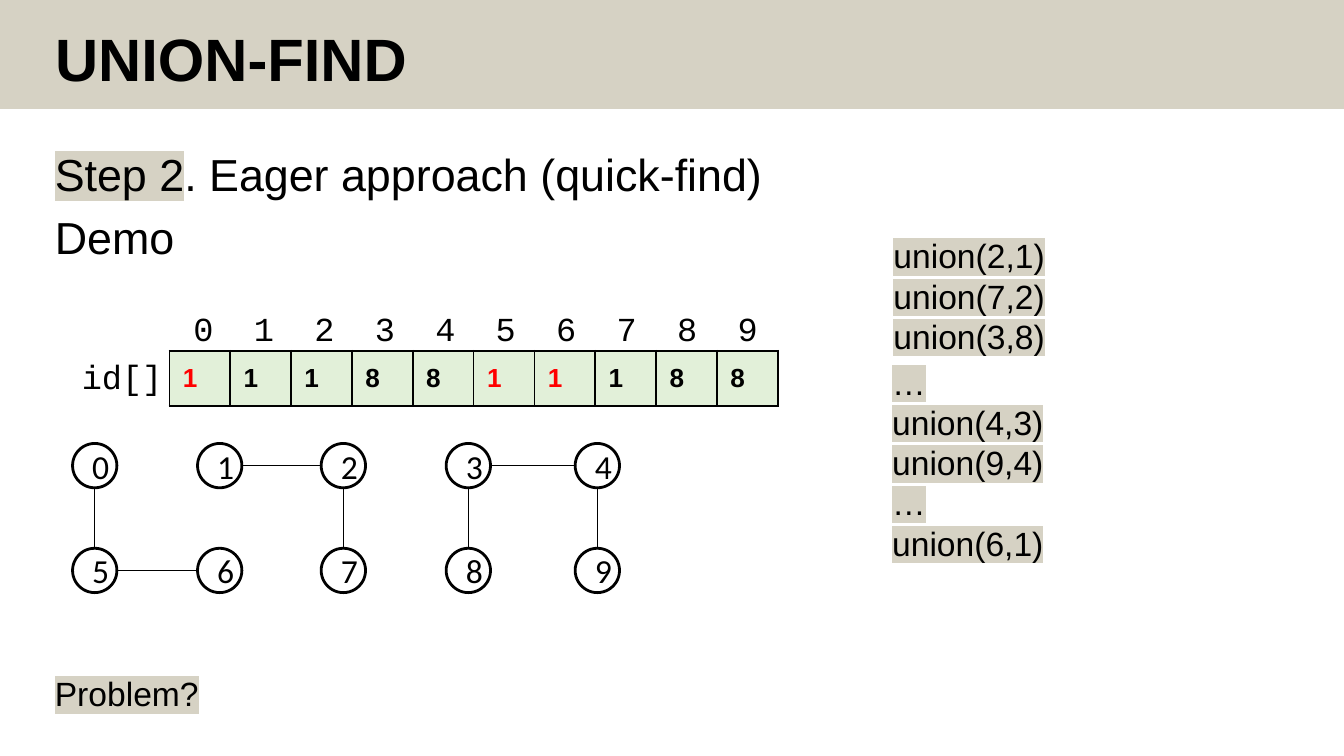
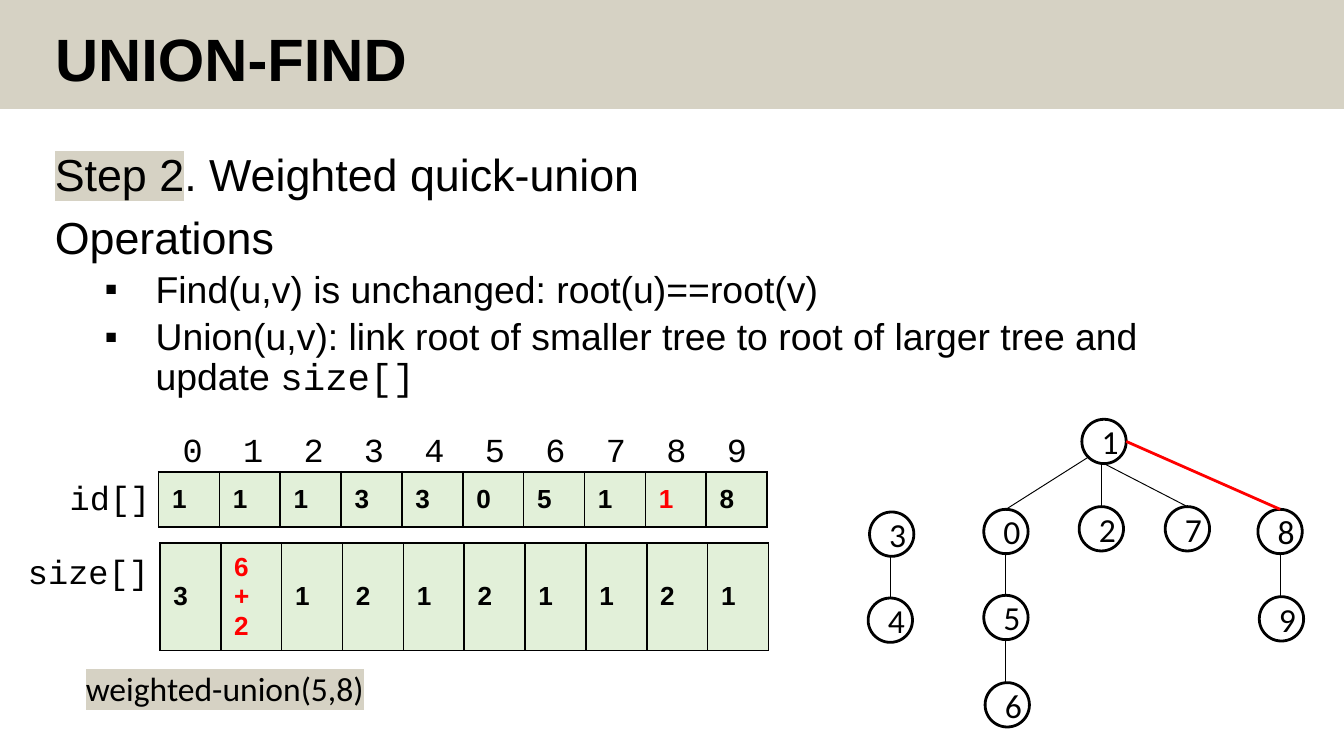
import dataclasses

import lxml.etree
import pptx
import pptx.dml.color
import pptx.enum.shapes
import pptx.enum.text
import pptx.oxml.ns
import pptx.util

Inches = pptx.util.Inches
Pt = pptx.util.Pt
qn = pptx.oxml.ns.qn
Anchor = pptx.enum.text.MSO_ANCHOR
Align = pptx.enum.text.PP_ALIGN
AutoSize = pptx.enum.text.MSO_AUTO_SIZE


@dataclasses.dataclass(frozen=True)
class Theme:
    band: str = "D6D2C4"
    ink: str = "000000"
    changed: str = "FF0000"
    cell: str = "E2F0D9"
    sans: str = "Arial"
    code: str = "Courier New"
    node: str = "Calibri"
    title_size: float = 32
    body_size: float = 24
    bullet_size: float = 20
    label_size: float = 18
    cell_size: float = 14


THEME = Theme()
NODE_SIZE = 0.33
TABLE_WIDTH = 4.53
COUNT = 10

# Points on a node's outline, as fractions of its size
SIDES = {
    "top": (0.5, 0),
    "bottom": (0.5, 1),
    "left": (0, 0.5),
    "right": (1, 0.5),
    "lower left": (0.15, 0.85),
}


def rgb(value):
    return pptx.dml.color.RGBColor.from_string(value)


def add_solid_fill(parent, tag, color):
    holder = lxml.etree.SubElement(parent, qn(tag))
    lxml.etree.SubElement(holder, qn("a:srgbClr"), val=color)
    return holder


class Deck:
    def __init__(self, theme):
        self.theme = theme
        self.presentation = pptx.Presentation()
        self.presentation.slide_width = Inches(10)
        self.presentation.slide_height = Inches(10) * 9 // 16
        self.slide = None

    def add_slide(self, title):
        layout = self.presentation.slide_layouts[5]
        self.slide = self.presentation.slides.add_slide(layout)
        self.band()
        shape = self.slide.shapes.title
        shape.left, shape.top = Inches(0.31), Inches(0.17)
        shape.width, shape.height = Inches(8.62), Inches(0.64)
        frame = shape.text_frame
        frame.auto_size = AutoSize.NONE
        frame.vertical_anchor = Anchor.TOP
        paragraph = frame.paragraphs[0]
        paragraph.alignment = Align.LEFT
        paragraph.line_spacing = 0.9
        self.run(paragraph, title, self.theme.title_size, bold=True)

    def band(self):
        shape = self.slide.shapes.add_shape(
            pptx.enum.shapes.MSO_SHAPE.RECTANGLE, 0, 0, Inches(10), Inches(0.81))
        shape.shadow.inherit = False
        shape.fill.solid()
        shape.fill.fore_color.rgb = rgb(self.theme.band)
        shape.line.fill.background()
        # Behind the title
        self.slide.shapes._spTree.insert(2, shape._element)

    def run(self, paragraph, text, size, font=None, color=None, bold=False,
            marked=False):
        run = paragraph.add_run()
        run.text = text
        run.font.size = Pt(size)
        run.font.name = font or self.theme.sans
        run.font.bold = bold
        run.font.color.rgb = rgb(color or self.theme.ink)
        if marked:
            properties = run._r.get_or_add_rPr()
            highlight = add_solid_fill(properties, "a:highlight", self.theme.band)
            properties.find(qn("a:solidFill")).addnext(highlight)

    def text_frame(self, left, top, width, height, wrap):
        box = self.slide.shapes.add_textbox(
            Inches(left), Inches(top), Inches(width), Inches(height))
        frame = box.text_frame
        frame.word_wrap = wrap
        frame.auto_size = AutoSize.NONE if wrap else AutoSize.SHAPE_TO_FIT_TEXT
        return frame

    def body(self, topic, heading, bullets=()):
        theme = self.theme
        frame = self.text_frame(0.31, 1.09, 9.14, 4.1, wrap=True)
        paragraph = frame.paragraphs[0]
        paragraph.line_spacing = 0.9
        self.run(paragraph, "Step 2", theme.body_size, marked=True)
        self.run(paragraph, topic, theme.body_size)
        paragraph = frame.add_paragraph()
        paragraph.line_spacing = 0.9
        paragraph.space_before = Pt(7.5)
        self.run(paragraph, heading, theme.body_size)
        for parts in bullets:
            paragraph = frame.add_paragraph()
            paragraph.level = 1
            properties = paragraph._p.get_or_add_pPr()
            properties.set("marL", str(Inches(0.75)))
            properties.set("indent", str(Inches(-0.38)))
            lxml.etree.SubElement(properties, qn("a:buFont"), typeface=theme.sans)
            lxml.etree.SubElement(properties, qn("a:buChar"), char="▪")
            paragraph.line_spacing = 0.9
            paragraph.space_before = Pt(3.8)
            for text, font in parts:
                self.run(paragraph, text, theme.bullet_size, font)

    def label(self, left, top, width, lines, height=0.4, font=None, marked=False):
        frame = self.text_frame(left, top, width, height, wrap=False)
        for number, line in enumerate(lines):
            paragraph = frame.add_paragraph() if number else frame.paragraphs[0]
            if marked and font is None:
                paragraph.line_spacing = Pt(21.6)
            self.run(paragraph, line, self.theme.label_size, font, marked=marked)

    def index_row(self, left, top):
        paragraph = self.text_frame(left, top, 4.72, 0.4, wrap=True).paragraphs[0]
        properties = paragraph._p.get_or_add_pPr()
        tabs = lxml.etree.SubElement(properties, qn("a:tabLst"))
        for number in range(1, COUNT):
            lxml.etree.SubElement(
                tabs, qn("a:tab"), pos=str(Inches(0.45 * number)), algn="l")
        self.run(paragraph, "\t".join(map(str, range(COUNT))),
                 self.theme.label_size, self.theme.code)

    def array(self, left, top, height, values, changed):
        table = self.slide.shapes.add_table(
            1, len(values), Inches(left), Inches(top),
            Inches(TABLE_WIDTH), Inches(height)).table
        table.first_row = table.horz_banding = False
        table.rows[0].height = Inches(height)
        for number, value in enumerate(values):
            table.columns[number].width = Inches(TABLE_WIDTH / len(values))
            cell = table.cell(0, number)
            cell.vertical_anchor = Anchor.MIDDLE
            self.borders(cell)
            cell.fill.solid()
            cell.fill.fore_color.rgb = rgb(self.theme.cell)
            color = self.theme.changed if number in changed else self.theme.ink
            for row, line in enumerate(value.split("\n")):
                frame = cell.text_frame
                paragraph = frame.add_paragraph() if row else frame.paragraphs[0]
                self.run(paragraph, line, self.theme.cell_size, color=color, bold=True)

    def borders(self, cell):
        properties = cell._tc.get_or_add_tcPr()
        for tag in ("a:lnL", "a:lnR", "a:lnT", "a:lnB"):
            border = lxml.etree.SubElement(properties, qn(tag), w=str(Pt(1)))
            add_solid_fill(border, "a:solidFill", self.theme.ink)

    def node(self, name, left, top):
        shape = self.slide.shapes.add_shape(
            pptx.enum.shapes.MSO_SHAPE.OVAL, Inches(left), Inches(top),
            Inches(NODE_SIZE), Inches(NODE_SIZE))
        shape.shadow.inherit = False
        shape.fill.background()
        shape.line.color.rgb = rgb(self.theme.ink)
        shape.line.width = Pt(1.5)
        shape.text_frame.vertical_anchor = Anchor.MIDDLE
        paragraph = shape.text_frame.paragraphs[0]
        paragraph.alignment = Align.CENTER
        self.run(paragraph, str(name), self.theme.label_size, self.theme.node)

    def edge(self, start, end, color=None, width=0.5):
        # Nodes almost in line get an upright edge
        if abs(start[0] - end[0]) < 0.03:
            x = min(start[0], end[0])
            start, end = (x, start[1]), (x, end[1])
        connector = self.slide.shapes.add_connector(
            pptx.enum.shapes.MSO_CONNECTOR.STRAIGHT,
            *(Inches(value) for value in start + end))
        connector.line.color.rgb = rgb(color or self.theme.ink)
        connector.line.width = Pt(width)
        lxml.etree.SubElement(connector._element.spPr, qn("a:effectLst"))

    def graph(self, nodes, edges):
        for name, place in nodes.items():
            self.node(name, *place)
        for first, first_side, second, second_side, *style in edges:
            ends = [
                tuple(place + NODE_SIZE * part
                      for place, part in zip(nodes[name], SIDES[side]))
                for name, side in ((first, first_side), (second, second_side))
            ]
            self.edge(*ends, *style)


def quick_find_slide(deck):
    deck.add_slide("UNION-FIND")
    deck.body(". Eager approach (quick-find)", "Demo")

    # Component ids
    deck.array(1.26, 2.61, 0.41, list("1118811188"), changed={0, 5, 6})
    deck.label(0.51, 2.6, 0.81, ["id[]"], font=THEME.code)
    deck.index_row(1.34, 2.24)

    # Two rows of five nodes
    columns = (0.54, 1.47, 2.39, 3.32, 4.28)
    nodes = {number: (columns[number % 5], (3.3, 4.08)[number // 5])
             for number in range(COUNT)}
    edges = [(top, "bottom", top + 5, "top") for top in (0, 2, 3, 4)]
    edges += [(left, "right", left + 1, "left") for left in (1, 3, 5)]
    deck.graph(nodes, edges)

    # Sequence of calls
    deck.label(6.55, 1.7, 1.34, ["union(2,1)", "union(7,2)", "union(3,8)"],
               height=1.01, marked=True)
    deck.label(6.54, 2.64, 1.34,
               ["…", "union(4,3)", "union(9,4)", "…", "union(6,1)"],
               height=1.92, marked=True)
    deck.label(0.31, 4.96, 1.28, ["Problem?"], marked=True)


def weighted_union_slide(deck):
    deck.add_slide("UNION-FIND")
    deck.body(". Weighted quick-union", "Operations", [
        [("Find(u,v) is unchanged: root(u)==root(v)", THEME.sans)],
        [("Union(u,v): link root of smaller tree to root of larger tree and update ",
          THEME.sans), ("size[]", THEME.code)],
    ])

    # Parent and size arrays
    deck.array(1.18, 3.51, 0.41, list("1113305118"), changed={8})
    deck.label(0.42, 3.5, 0.81, ["id[]"], font=THEME.code)
    deck.index_row(1.26, 3.14)
    deck.array(1.19, 4.04, 0.8, ["3", "6 +\n2", *"12121121"], changed={1})
    deck.label(0.11, 4.05, 1.11, ["size[]"], font=THEME.code)
    deck.label(0.54, 4.92, 2.3, ["weighted-union(5,8)"], font=THEME.node, marked=True)

    # Trees, with the new link in the accent colour
    nodes = {
        0: (7.32, 3.79), 1: (8.05, 3.12), 2: (8.03, 3.77), 3: (6.47, 3.81),
        4: (6.46, 4.45), 5: (7.32, 4.43), 6: (7.33, 5.08), 7: (8.67, 3.77),
        8: (9.36, 3.79), 9: (9.37, 4.44),
    }
    links = ((1, 2), (1, 7), (3, 4), (0, 5), (5, 6), (8, 9))
    edges = [(parent, "bottom", child, "top") for parent, child in links]
    edges.append((1, "lower left", 0, "top"))
    edges.append((1, "right", 8, "top", THEME.changed, 1.5))
    deck.graph(nodes, edges)


def main():
    deck = Deck(THEME)
    quick_find_slide(deck)
    weighted_union_slide(deck)
    deck.presentation.save("out.pptx")


if __name__ == "__main__":
    main()
